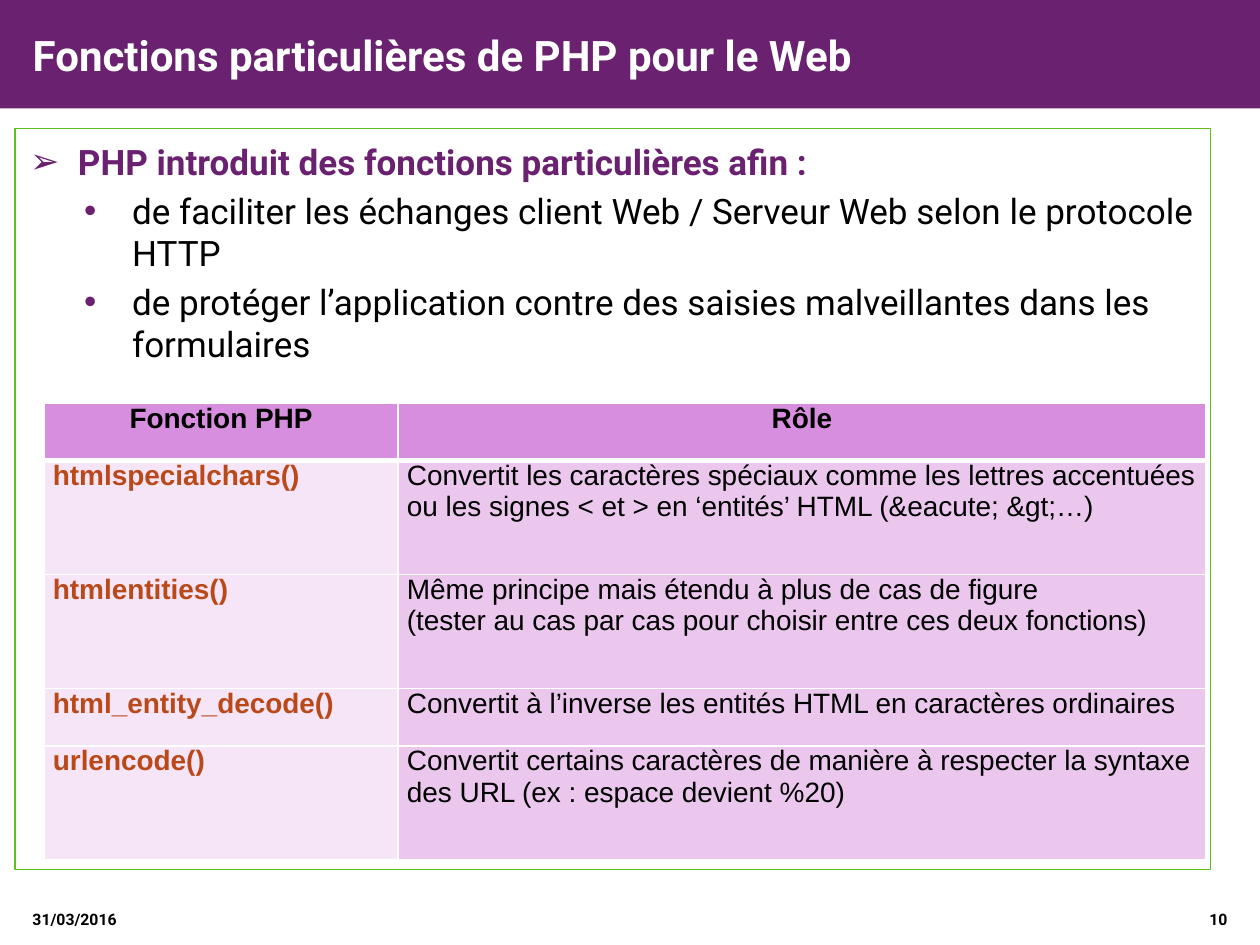
import pptx
import pptx.util
import pptx.oxml
import pptx.oxml.ns
import pptx.dml.color
import pptx.enum.shapes
import pptx.enum.text

Pt, Inches = pptx.util.Pt, pptx.util.Inches
Align = pptx.enum.text.PP_ALIGN
Anchor = pptx.enum.text.MSO_ANCHOR

COLORS = {
    "plum": "692170", "white": "FFFFFF", "black": "000000", "green": "61BF1A",
    "rust": "BA491A", "head": "D78EDE", "name": "F6E5F7", "role": "EBC7EE",
}
FONTS = {
    "title": {"size": Pt(24), "name": "Roboto", "bold": True},
    "lead": {"size": Pt(20), "name": "Roboto", "bold": True},
    "point": {"size": Pt(20), "name": "Roboto", "bold": False},
    "foot": {"size": Pt(9), "name": "Roboto", "bold": True},
    "label": {"size": Pt(16), "name": "Arial", "bold": True},
    "cell": {"size": Pt(16), "name": "Arial", "bold": False},
}
POINTS = [
    "de faciliter les échanges client Web / Serveur Web selon le protocole HTTP",
    "de protéger l’application contre des saisies malveillantes dans les formulaires",
]
# Each row: height in units, function, role
ROWS = [
    (1, "Fonction PHP", "Rôle"),
    (2, "htmlspecialchars()",
     "Convertit les caractères spéciaux comme les lettres accentuées ou les "
     "signes < et > en ‘entités’ HTML (&eacute; &gt;…)"),
    (2, "htmlentities()",
     "Même principe mais étendu à plus de cas de figure \n"
     "(tester au cas par cas pour choisir entre ces deux fonctions)"),
    (1, "html_entity_decode()",
     "Convertit à l’inverse les entités HTML en caractères ordinaires"),
    (2, "urlencode()",
     "Convertit certains caractères de manière à respecter la syntaxe des URL "
     "(ex : espace devient %20)"),
]


def rgb(color):
    return pptx.dml.color.RGBColor.from_string(COLORS[color])


def add_xml(parent, body):
    ns = pptx.oxml.ns.nsdecls("a")
    root = pptx.oxml.parse_xml(f"<a:x {ns}>{body}</a:x>")
    for node in list(root):
        parent.append(node)


def solid(color):
    return f'<a:solidFill><a:srgbClr val="{COLORS[color]}"/></a:solidFill>'


class Deck:
    """Holds the style and the current slide; boxes are percents of the slide."""

    def __init__(self):
        self.prs = pptx.Presentation()
        self.prs.slide_width, self.prs.slide_height = Inches(10), Inches(7.5)
        self.slide = self.prs.slides.add_slide(self.prs.slide_layouts[6])

    def place(self, box):
        sides = (self.prs.slide_width, self.prs.slide_height) * 2
        return [round(side * part / 100) for side, part in zip(sides, box)]

    def rect(self, box, fill=None, line=None):
        kind = pptx.enum.shapes.MSO_SHAPE.RECTANGLE
        shape = self.slide.shapes.add_shape(kind, *self.place(box))
        shape.shadow.inherit = False
        if fill:
            shape.fill.solid()
            shape.fill.fore_color.rgb = rgb(fill)
        else:
            shape.fill.background()
        if line:
            shape.line.color.rgb = rgb(line)
            shape.line.width = Pt(0.75)
        else:
            shape.line.fill.background()
        return shape

    def put(self, para, text, style, color, **form):
        para.text = text
        for key, value in form.items():
            setattr(para, key, value)
        for run in para.runs:
            for key, value in FONTS[style].items():
                setattr(run.font, key, value)
            run.font.color.rgb = rgb(color)

    def label(self, box, text, style, color, align=Align.LEFT,
              anchor=Anchor.BOTTOM, left=0.1):
        frame = self.slide.shapes.add_textbox(*self.place(box)).text_frame
        frame.word_wrap = True
        frame.vertical_anchor = anchor
        frame.margin_left = Inches(left)
        self.put(frame.paragraphs[0], text, style, color, alignment=align)

    def bullet(self, para, mark, left):
        props = para._p.get_or_add_pPr()
        props.set("marL", str(Inches(left)))
        props.set("indent", str(Inches(-0.38)))
        add_xml(props, f'<a:buClr><a:srgbClr val="{COLORS["plum"]}"/></a:buClr>'
                       f'<a:buFont typeface="Arial"/><a:buChar char="{mark}"/>')

    def body(self, box, lead, points):
        frame = self.rect(box, line="green").text_frame
        frame.word_wrap = True
        frame.vertical_anchor = Anchor.TOP
        para = frame.paragraphs[0]
        self.put(para, lead, "lead", "plum", alignment=Align.LEFT,
                 line_spacing=Pt(27), space_before=Pt(6))
        self.bullet(para, "➢", 0.4)
        for point in points:
            para = frame.add_paragraph()
            self.put(para, point, "point", "black", alignment=Align.LEFT,
                     level=1, space_before=Pt(4))
            self.bullet(para, "•", 0.83)

    def cell(self, cell, text, fill, style, color, align, base):
        for side in ("left", "right", "top", "bottom"):
            edge = 0.07 if side in ("left", "right") else 0
            setattr(cell, f"margin_{side}", Inches(edge))
        props = cell._tc.get_or_add_tcPr()
        for side, width in zip("LRTB", (1, 1, 1, base)):
            add_xml(props, f'<a:ln{side} w="{Pt(width)}">{solid("white")}</a:ln{side}>')
        cell.fill.solid()
        cell.fill.fore_color.rgb = rgb(fill)
        self.put(cell.text_frame.paragraphs[0], text, style, color,
                 alignment=align, space_after=Pt(5))

    def table(self, box, rows, widths):
        shape = self.slide.shapes.add_table(len(rows), len(widths), *self.place(box))
        grid = shape.table
        for col, width in zip(grid.columns, widths):
            col.width = Inches(width)
        unit = shape.height / sum(row[0] for row in rows)
        for i, (units, *texts) in enumerate(rows):
            grid.rows[i].height = round(unit * units)
            if i == 0:
                looks = [("head", "label", "black", Align.CENTER, 3)] * 2
            else:
                looks = [("name", "label", "rust", Align.JUSTIFY, 1),
                         ("role", "cell", "black", Align.LEFT, 1)]
            for j, (text, look) in enumerate(zip(texts, looks)):
                self.cell(grid.cell(i, j), text, *look)


def main():
    deck = Deck()
    deck.rect((0, 0, 100, 11.47), fill="plum")
    deck.label((0.2, 0, 89.3, 11.47), "Fonctions particulières de PHP pour le Web",
               "title", "white", anchor=Anchor.MIDDLE, left=0.24)
    deck.body((1.2, 13.6, 94.9, 78.4),
              "PHP introduit des fonctions particulières afin :", POINTS)
    deck.label((1.6, 93.6, 11.7, 5.33), "31/03/2016", "foot", "black")
    deck.label((66.5, 93.6, 31.9, 5.33), "10", "foot", "black", align=Align.RIGHT)
    deck.table((3.5, 42.7, 92.1, 48.3), ROWS, (2.81, 6.41))
    deck.prs.save("out.pptx")


if __name__ == "__main__":
    main()
